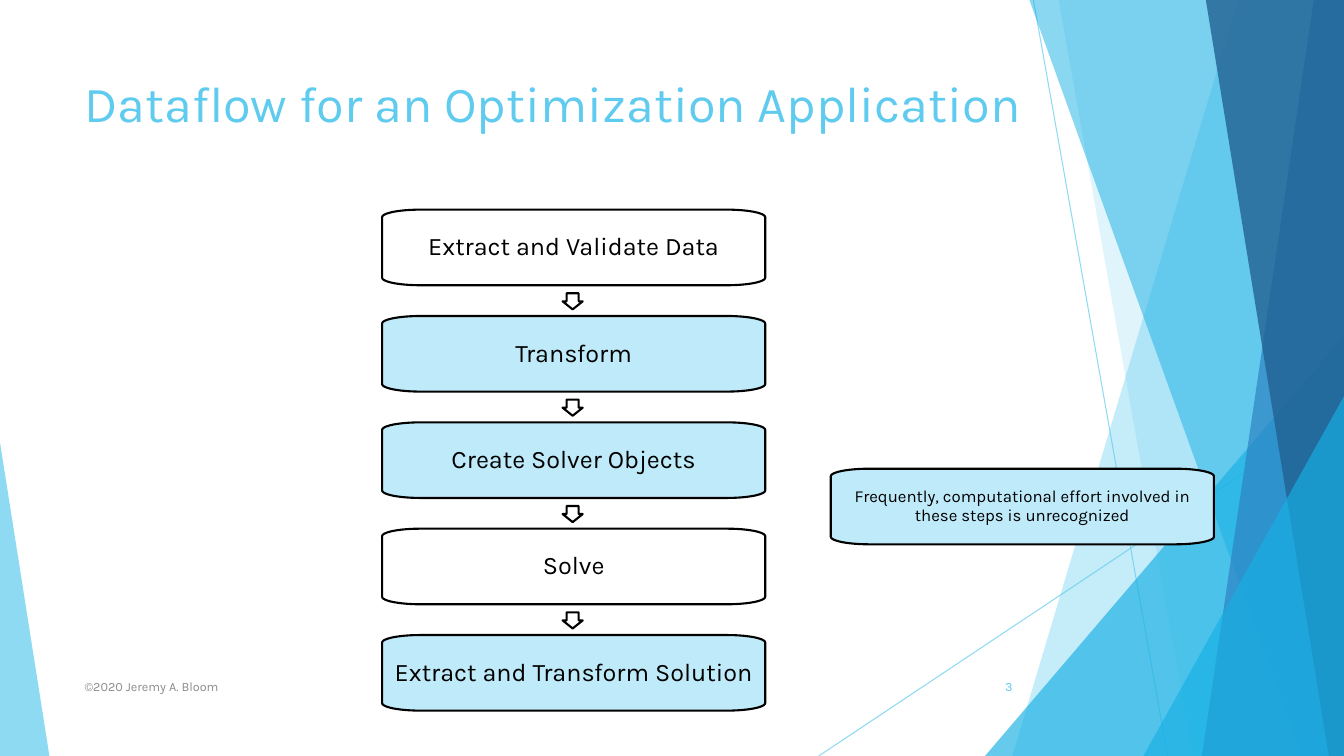
from dataclasses import dataclass
from math import cos, pi, sin

from lxml.etree import SubElement
from pptx import Presentation
from pptx.dml.color import RGBColor as Rgb
from pptx.enum.shapes import MSO_CONNECTOR as Connector, MSO_SHAPE as Preset
from pptx.enum.text import MSO_ANCHOR as Anchor, PP_ALIGN as Align
from pptx.oxml.ns import qn
from pptx.util import Inches, Pt


@dataclass(frozen=True)
class Theme:
    """Colours, font and type sizes of the slide."""
    sky: str = "5FCBEF"
    cyan: str = "17B0E4"
    blue: str = "2E83C3"
    navy: str = "226292"
    pale: str = "BFEAF9"
    white: str = "FFFFFF"
    black: str = "000000"
    grey: str = "8C8C8C"
    font: str = "Karla"
    title: int = 36
    step: int = 18
    note: int = 12
    footer: int = 9


theme = Theme()


def tint(shape, fill, colour, alpha):
    """Give a decoration one translucent colour and no shadow."""
    fill.solid()
    fill.fore_color.rgb = Rgb.from_string(colour)
    properties = shape._element.spPr
    node = properties.find(".//" + qn("a:srgbClr"))
    SubElement(node, qn("a:alpha")).set("val", str(alpha * 1000))
    SubElement(properties, qn("a:effectLst"))


def write(shape, text, size, colour, align, anchor):
    """Put one styled paragraph into a shape and return it."""
    frame = shape.text_frame
    frame.text = text
    frame.word_wrap = True
    frame.vertical_anchor = anchor
    para = frame.paragraphs[0]
    para.alignment = align
    span = para.runs[0]
    span.font.name = theme.font
    span.font.size = Pt(size)
    span.font.color.rgb = Rgb.from_string(colour)
    return para


deck = Presentation()
width, height = 13.33, 7.5
deck.slide_width, deck.slide_height = Inches(width), Inches(height)
page = deck.slides.add_slide(deck.slide_layouts[6])
shapes = page.shapes

# Thin crossing lines
for ends in [(10.25, 0, 11.58, height), (width, 4.03, 8.12, height)]:
    ray = shapes.add_connector(Connector.STRAIGHT, *map(Inches, ends))
    ray.line.width = Pt(0.75)
    tint(ray, ray.line.fill, theme.sky, 70)

# Panels reach the right edge: (top x, bottom x)
# Wedges stand on the bottom edge: (left, top, width, apex)
decorations = [
    ((12.28, 10.04), theme.sky, 36),
    ((10.5, 11.83), theme.sky, 20),
    ((9.77, 3.33, 3.56, 1), theme.cyan, 66),
    ((10.21, 12.91), theme.cyan, 50),
    ((13.03, 11.92), theme.blue, 70),
    ((11.96, 13.18), theme.navy, 80),
    ((11.34, 3.93, 1.99, 1), theme.cyan, 66),
    ((0, 4.39, 0.49, 0), theme.sky, 70),
]
for geometry, colour, alpha in decorations:
    if len(geometry) == 2:
        top_x, bottom_x = geometry
        corners = [(width, 0), (width, height), (bottom_x, height)]
        builder = shapes.build_freeform(Inches(top_x), 0)
        builder.add_line_segments([(Inches(x), Inches(y)) for x, y in corners])
        decoration = builder.convert_to_shape()
    else:
        left, top, base, apex = geometry
        decoration = shapes.add_shape(
            Preset.ISOSCELES_TRIANGLE,
            Inches(left), Inches(top), Inches(base), Inches(height - top))
        decoration.adjustments[0] = apex
    decoration.line.fill.background()
    tint(decoration, decoration.fill, colour, alpha)

# Flow steps, evenly spaced, then the note beside them
steps = [
    ("Extract and Validate Data", theme.white),
    ("Transform", theme.pale),
    ("Create Solver Objects", theme.pale),
    ("Solve", theme.white),
    ("Extract and Transform Solution", theme.pale),
]
step_left, first_top, last_top = 3.79, 2.08, 6.3
pitch = (last_top - first_top) / (len(steps) - 1)
box_width, box_height = 3.8, 0.75
radius_x, radius_y = 0.38, 0.075
arrow_width, arrow_height, arrow_gap = 0.2, 0.16, 0.08
arrow_left = step_left + (box_width - arrow_width) / 2 - 0.01

boxes = [(step_left, first_top + row * pitch, text, fill, theme.step)
         for row, (text, fill) in enumerate(steps)]
boxes.append((8.24, 4.65,
              "Frequently, computational effort involved in these steps is unrecognized",
              theme.pale, theme.note))

for row, (left, top, text, fill, size) in enumerate(boxes):
    near_x, far_x = left + radius_x, left + box_width - radius_x
    near_y, far_y = top + radius_y, top + box_height - radius_y
    centres = [(far_x, far_y), (near_x, far_y), (near_x, near_y), (far_x, near_y)]
    outline = []
    for quarter, (centre_x, centre_y) in enumerate(centres):
        for tick in range(13):
            angle = (quarter + tick / 12) * pi / 2
            outline.append((Inches(centre_x + radius_x * cos(angle)),
                            Inches(centre_y + radius_y * sin(angle))))
    builder = shapes.build_freeform(*outline[0])
    builder.add_line_segments(outline[1:])
    box = builder.convert_to_shape()
    parts = [(box, fill)]
    para = write(box, text, size, theme.black, Align.CENTER, Anchor.MIDDLE)
    para.line_spacing = 0.9
    frame = box.text_frame
    frame.margin_left = frame.margin_right = Inches(0.11)
    frame.margin_top = frame.margin_bottom = Inches(0.11)

    if row < len(steps) - 1:
        arrow = shapes.add_shape(
            Preset.DOWN_ARROW,
            Inches(arrow_left), Inches(top + box_height + arrow_gap),
            Inches(arrow_width), Inches(arrow_height))
        arrow.adjustments[0], arrow.adjustments[1] = 0.6, 0.5
        parts.append((arrow, theme.white))

    for part, part_fill in parts:
        part.shadow.inherit = False
        part.fill.solid()
        part.fill.fore_color.rgb = Rgb.from_string(part_fill)
        part.line.color.rgb = Rgb.from_string(theme.black)
        part.line.width = Pt(1.5)

# Title, credit and page number
labels = [
    ((0.74, 0.67, 9.67, 1.44), "Dataflow for an Optimization Application",
     theme.title, theme.sky, Align.LEFT, Anchor.TOP),
    ((0.74, 6.61, 6.89, 0.4), "©2020 Jeremy A. Bloom",
     theme.footer, theme.grey, Align.LEFT, Anchor.MIDDLE),
    ((9.39, 6.61, 0.75, 0.4), "3",
     theme.footer, theme.sky, Align.RIGHT, Anchor.MIDDLE),
]
for place, *content in labels:
    write(shapes.add_textbox(*map(Inches, place)), *content)

deck.save("out.pptx")
